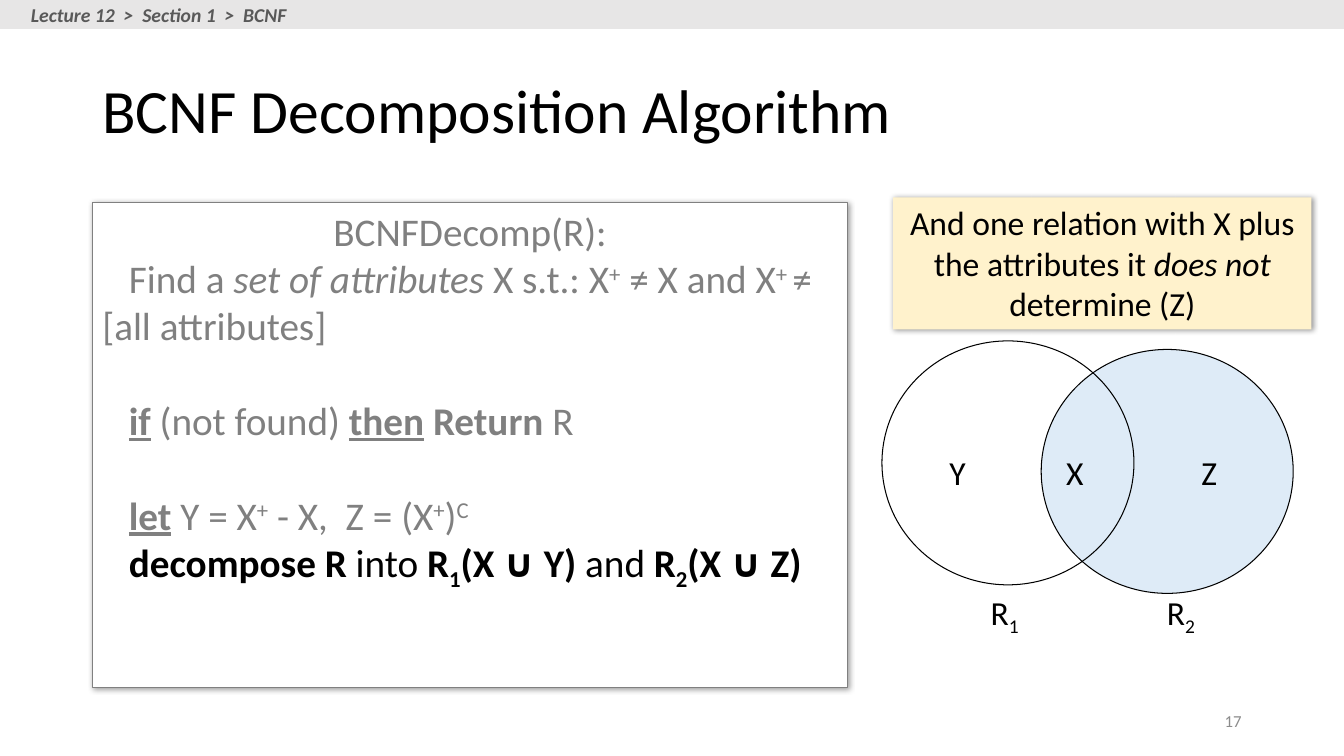
import pptx
import pptx.util
import pptx.dml.color
import pptx.enum.shapes
import pptx.enum.text
import pptx.oxml
import pptx.oxml.ns

Pt = pptx.util.Pt
SHAPE = pptx.enum.shapes.MSO_SHAPE
ALIGN = pptx.enum.text.PP_ALIGN
ANCHOR = pptx.enum.text.MSO_ANCHOR
BASELINES = {"^": "30000", "_": "-25000"}


def rgb(value):
    return pptx.dml.color.RGBColor.from_string(value)


def write(paragraph, runs, size, color):
    """Runs are (text, marks): b bold, i italic, u underline, ^ super, _ sub."""
    paragraph.alignment = paragraph.alignment or ALIGN.LEFT
    for text, marks in runs:
        run = paragraph.add_run()
        run.text = text
        style = {"name": "Calibri", "size": Pt(size), "bold": "b" in marks,
                 "italic": "i" in marks, "underline": "u" in marks}
        for attribute, value in style.items():
            setattr(run.font, attribute, value)
        run.font.color.rgb = rgb(color)
        for mark, baseline in BASELINES.items():
            if mark in marks:
                run.font._element.set("baseline", baseline)


presentation = pptx.Presentation()
presentation.slide_width, presentation.slide_height = Pt(960), Pt(540)
slide = presentation.slides.add_slide(presentation.slide_layouts[5])
shapes = slide.shapes

# Title
title = shapes.title
title_box = {"left": Pt(66), "top": Pt(28.75), "width": Pt(828), "height": Pt(104.4)}
for attribute, value in title_box.items():
    setattr(title, attribute, value)
title.text_frame.vertical_anchor = ANCHOR.MIDDLE
title.text_frame.auto_size = pptx.enum.text.MSO_AUTO_SIZE.NONE
heading = title.text_frame.paragraphs[0]
heading.line_spacing = 0.9
write(heading, [("BCNF Decomposition Algorithm", "")], 44, "000000")

# Panels and circles, from back to front: kind, box, fill, line, shadow
figures = [
    (SHAPE.RECTANGLE, (66, 144.75, 539.5, 346.2), "FFFFFF", "808080", True),
    (SHAPE.OVAL, (743.75, 249.6, 180, 174.25), "DEEBF7", "000000", False),
    (SHAPE.RECTANGLE, (638, 141, 298.8, 94.4), "FFF2CC", None, True),
    (SHAPE.OVAL, (630, 243.5, 180, 174.25), None, "000000", False),
    (SHAPE.RECTANGLE, (0, 0, 960, 20.75), "E7E6E6", None, False),
]
drawn = []
for kind, box, fill, line, shadow in figures:
    figure = shapes.add_shape(kind, *map(Pt, box))
    figure.shadow.inherit = False
    if fill:
        figure.fill.solid()
        figure.fill.fore_color.rgb = rgb(fill)
    else:
        figure.fill.background()
    if line:
        figure.line.color.rgb = rgb(line)
        figure.line.width = Pt(0.75)
    else:
        figure.line.fill.background()
    if shadow:
        effects = figure._element.spPr.find(pptx.oxml.ns.qn("a:effectLst"))
        effects.append(pptx.oxml.parse_xml(
            f'<a:outerShdw {pptx.oxml.ns.nsdecls("a")} blurRad="50800" dist="12700" '
            'dir="2700000" algn="tl" rotWithShape="0"><a:srgbClr val="000000">'
            '<a:alpha val="40000"/></a:srgbClr></a:outerShdw>'))
    figure.text_frame.word_wrap = True
    figure.text_frame.vertical_anchor = ANCHOR.TOP
    drawn.append(figure)
algorithm, r2_circle, remark, r1_circle, header_bar = drawn

# Algorithm steps: first-line indent, space before, colour, runs
steps = [
    (0, 0, "808080", [("BCNFDecomp(R):", "")]),
    (19, 0, "808080", [
        ("Find a ", ""), ("set of attributes ", "i"), ("X s.t.: X", ""), ("+", "^"),
        (" ≠ X and X", ""), ("+ ", "^"), ("≠ [all attributes]", "")]),
    (19, 34, "808080", [
        ("if", "bu"), (" (not found) ", ""), ("then", "bu"), (" ", ""),
        ("Return", "b"), (" R", "")]),
    (19, 34, "808080", [
        ("let", "bu"), (" Y = X", ""), ("+", "^"), (" - X,  Z = (X", ""),
        ("+", "^"), (")", ""), ("C", "^")]),
    (19, 0, "000000", [
        ("decompose R", "b"), (" into ", ""), ("R", "b"), ("1", "b_"),
        ("(X ∪ Y) ", "b"), ("and ", ""), ("R", "b"), ("2", "b_"), ("(X ∪ Z)", "b")]),
]
for number, (indent, gap, color, runs) in enumerate(steps):
    frame = algorithm.text_frame
    step = frame.add_paragraph() if number else frame.paragraphs[0]
    step.space_before = Pt(gap)
    step._p.get_or_add_pPr().set("indent", str(Pt(indent)))
    write(step, runs, 28, color)

# Remark on the second relation
write(remark.text_frame.paragraphs[0], [
    ("And one relation with X plus the attributes it ", ""),
    ("does not ", "i"), ("determine (Z)", "")], 24, "000000")

# Circle labels, breadcrumb and page number: box, runs, size, colour, alignment
labels = [
    ((671, 319, 27.4, 36), [("Y", "")], 24, "000000", ALIGN.LEFT),
    ((754.5, 319, 27.4, 36), [("X", "")], 24, "000000", ALIGN.LEFT),
    ((851, 319, 26, 36), [("Z", "")], 24, "000000", ALIGN.LEFT),
    ((700.5, 421, 36, 36), [("R", ""), ("1", "_")], 24, "000000", ALIGN.LEFT),
    ((826.5, 421, 36, 36), [("R", ""), ("2", "_")], 24, "000000", ALIGN.LEFT),
    ((15, -1.5, 201.5, 24.5), [("Lecture 12  >  Section 1  >  BCNF", "bi")],
     14, "595959", ALIGN.LEFT),
    ((678, 500.5, 216, 28.75), [("17", "")], 12, "8C8C8C", ALIGN.RIGHT),
]
for box, runs, size, color, alignment in labels:
    label = shapes.add_textbox(*map(Pt, box)).text_frame
    label.word_wrap = alignment == ALIGN.RIGHT
    label.vertical_anchor = ANCHOR.MIDDLE
    label.paragraphs[0].alignment = alignment
    write(label.paragraphs[0], runs, size, color)

presentation.save("out.pptx")
